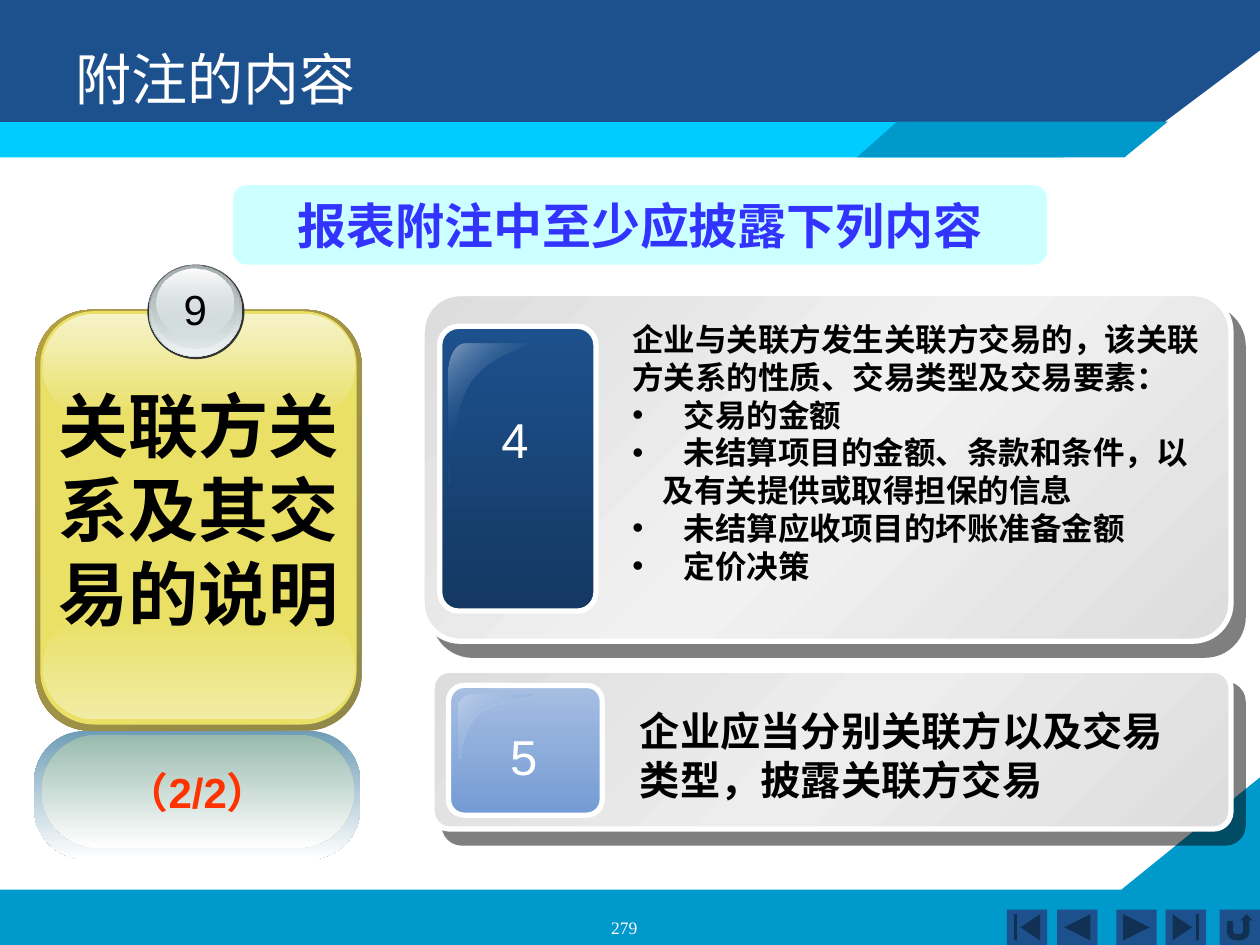
from dataclasses import dataclass

from lxml.etree import SubElement
from pptx import Presentation
from pptx.dml.color import RGBColor
from pptx.enum.shapes import MSO_SHAPE
from pptx.enum.text import MSO_ANCHOR, PP_ALIGN
from pptx.oxml.ns import qn
from pptx.util import Inches, Pt

COLUMN = Inches(10) / 100
ROW = Inches(7.5) / 75

WHITE = RGBColor(0xFF, 0xFF, 0xFF)
BLACK = RGBColor(0x00, 0x00, 0x00)
NAVY = RGBColor(0x1D, 0x51, 0x8D)
DEEP_NAVY = RGBColor(0x14, 0x38, 0x62)
NAVY_GLINT = RGBColor(0x83, 0x9F, 0xC0)
TEAL = RGBColor(0x00, 0x99, 0xCB)
CYAN = RGBColor(0x00, 0xCC, 0xFF)
PALE_CYAN = RGBColor(0xCC, 0xFF, 0xFF)
VIOLET = RGBColor(0x33, 0x33, 0xFF)
RED = RGBColor(0xFF, 0x33, 0x00)
GREY = RGBColor(0xDD, 0xDD, 0xDD)
LIGHT_GREY = RGBColor(0xF1, 0xF1, 0xF1)
SOFT_GREY = RGBColor(0xED, 0xED, 0xED)
CHARCOAL = RGBColor(0x33, 0x33, 0x33)
STEEL = RGBColor(0x62, 0x67, 0x68)
MIST = RGBColor(0xD6, 0xE1, 0xE2)
PALE_MIST = RGBColor(0xEF, 0xF3, 0xF3)
ASH = RGBColor(0xA8, 0xB1, 0xB2)
NEAR_WHITE = RGBColor(0xFE, 0xFE, 0xFE)
OLIVE = RGBColor(0x8F, 0x88, 0x49)
GOLD = RGBColor(0xB5, 0x9F, 0x43)
YELLOW = RGBColor(0xE9, 0xE0, 0x65)
PALE_YELLOW = RGBColor(0xF1, 0xEC, 0xA5)
CREAM = RGBColor(0xF6, 0xF3, 0xCA)
DUSK = RGBColor(0x6F, 0x9D, 0xB7)
SAGE = RGBColor(0x98, 0xBA, 0xAF)
SKY = RGBColor(0xA6, 0xBE, 0xE2)
BLUE = RGBColor(0x74, 0x9B, 0xD4)
BLUE_GLINT = RGBColor(0xBA, 0xCD, 0xE9)


@dataclass
class Box:
    left: float
    top: float
    width: float
    height: float

    def inner(self, left, top, width, height):
        return Box(self.left + left, self.top + top, width, height)

    def point(self, across, down):
        return (round((self.left + across * self.width) * COLUMN),
                round((self.top + down * self.height) * ROW))

    def frame(self):
        return (*self.point(0, 0), round(self.width * COLUMN), round(self.height * ROW))


@dataclass
class Gradient:
    stops: list
    angle: int = 90


def paint(shape, fill, outlined=False):
    shape.shadow.inherit = False
    if isinstance(fill, Gradient):
        shape.fill.gradient()
        shape.fill.gradient_angle = (360 - fill.angle) % 360
        stop_list = shape._element.spPr.find(qn("a:gradFill")).find(qn("a:gsLst"))
        for stop in list(stop_list):
            stop_list.remove(stop)
        for position, color, opacity in fill.stops:
            stop = SubElement(stop_list, qn("a:gs"), pos=str(position * 1000))
            tint = SubElement(stop, qn("a:srgbClr"), val=str(color))
            SubElement(tint, qn("a:alpha"), val=str(opacity * 1000))
    else:
        shape.fill.solid()
        shape.fill.fore_color.rgb = fill
    if outlined:
        shape.line.color.rgb = WHITE
        shape.line.width = Pt(3)
    else:
        shape.line.fill.background()
    return shape


def fade(first, last, first_opacity=100, last_opacity=100, angle=90):
    return Gradient([(0, first, first_opacity), (100, last, last_opacity)], angle)


def add_preset(page, kind, box, fill, rounding=None, outlined=False):
    shape = page.shapes.add_shape(kind, *box.frame())
    if rounding is not None:
        shape.adjustments[0] = rounding
    return paint(shape, fill, outlined)


def add_rounded(page, box, fill, rounding, outlined=False):
    return add_preset(page, MSO_SHAPE.ROUNDED_RECTANGLE, box, fill, rounding, outlined)


def add_outline(page, box, shares, fill):
    points = [box.point(*share) for share in shares]
    builder = page.shapes.build_freeform(*points[0], scale=1.0)
    builder.add_line_segments(points[1:], close=True)
    return paint(builder.convert_to_shape(), fill)


def add_text(page, box, lines, size, color=BLACK, font="Arial", bold=False,
             align=PP_ALIGN.LEFT, anchor=MSO_ANCHOR.TOP, wrap=True, bullets_from=None):
    frame = page.shapes.add_textbox(*box.frame()).text_frame
    frame.word_wrap = wrap
    frame.vertical_anchor = anchor
    for index, line in enumerate(lines):
        para = frame.paragraphs[0] if index == 0 else frame.add_paragraph()
        para.alignment = align
        para.line_spacing = Pt(size * 1.2)
        if bullets_from is not None and index >= bullets_from:
            properties = para._p.get_or_add_pPr()
            properties.set("marL", str(Inches(0.24)))
            properties.set("indent", str(-Inches(0.24)))
            SubElement(properties, qn("a:buFont"), typeface="Arial")
            SubElement(properties, qn("a:buChar"), char="•")
            tabs = SubElement(properties, qn("a:tabLst"))
            SubElement(tabs, qn("a:tab"), pos=str(Inches(0.41)), algn="l")
            line = "\t" + line
        span = para.add_run()
        span.text = line
        span.font.name = font
        span.font.size = Pt(size)
        span.font.bold = bold
        span.font.color.rgb = color


def curve(start, first, second, end, steps=12):
    for step in range(1, steps + 1):
        t = step / steps
        weights = ((1 - t) ** 3, 3 * t * (1 - t) ** 2, 3 * t * t * (1 - t), t ** 3)
        yield tuple(sum(weight * point[axis] for weight, point
                        in zip(weights, (start, first, second, end))) for axis in (0, 1))


def add_glint(page, box, fill):
    shares = [(0.21, 0), *curve((0.21, 0), (0.1, 0), (0, 0.09), (0, 0.19)), (0, 0.98),
              *curve((0, 0.98), (0.05, 1), (0.03, 0.51), (0.27, 0.29)),
              *curve((0.27, 0.29), (0.52, 0.07), (1, 0.05), (0.98, 0))]
    add_outline(page, box, shares, fill)


def add_header(page, box):
    add_outline(page, box, [(0, 0), (1, 0), (1, 0.32), (0.89, 0.98), (0, 0.99)], NAVY)
    add_preset(page, MSO_SHAPE.RECTANGLE, box.inner(0, 9.7, 84.4, 2.8), CYAN)
    add_outline(page, box.inner(68, 9.65, 24.7, 2.85),
                [(0, 1), (0.86, 1), (1, 0), (0.13, 0)], TEAL)
    add_text(page, box.inner(5, 3, 90, 12.5), ["附注的内容"], 32, color=WHITE,
             font="Noto Sans CJK SC")


def add_footer(page, box):
    add_outline(page, box, [(0, 0.67), (0.89, 0.67), (1, 0), (1, 1), (0, 1)], TEAL)
    buttons = [(79.9, MSO_SHAPE.ACTION_BUTTON_BEGINNING),
               (83.9, MSO_SHAPE.ACTION_BUTTON_BACK_OR_PREVIOUS),
               (88.6, MSO_SHAPE.ACTION_BUTTON_FORWARD_OR_NEXT),
               (92.5, MSO_SHAPE.ACTION_BUTTON_END),
               (96.8, MSO_SHAPE.ACTION_BUTTON_RETURN)]
    for left, kind in buttons:
        add_preset(page, kind, box.inner(left, 10.5, 3.2, 2.8), NAVY)
    add_text(page, box.inner(37.9, 10.6, 23.3, 1.8), ["279"], 10, color=WHITE,
             font="Times New Roman", align=PP_ALIGN.CENTER)


def add_banner(page, box):
    add_rounded(page, box, PALE_CYAN, 0.17)
    add_text(page, box, ["报表附注中至少应披露下列内容"], 28, color=VIOLET, bold=True,
             align=PP_ALIGN.CENTER, anchor=MSO_ANCHOR.MIDDLE, wrap=False)


def add_topic(page, box):
    add_rounded(page, box.inner(0.1, 3.6, 25.9, 33.4), fade(OLIVE, GOLD, angle=225), 0.17)
    add_rounded(page, box.inner(0.5, 3.7, 25.1, 32.8), YELLOW, 0.17)
    add_rounded(page, box.inner(0.7, 27.8, 24.8, 8.3), fade(YELLOW, PALE_YELLOW), 0.5)
    add_rounded(page, box.inner(0.7, 3.9, 24.8, 8.3), fade(CREAM, YELLOW), 0.5)
    rings = [((9, 0, 7.7, 7.5), CHARCOAL),
             ((9.1, 0, 7.4, 7.3), fade(STEEL, MIST)),
             ((9.2, 0.1, 7.3, 7.1), fade(MIST, PALE_MIST, first_opacity=0)),
             ((9.3, 0.1, 6.9, 6.6), fade(ASH, MIST, last_opacity=48)),
             ((9.7, 0.3, 6.1, 5.4), fade(NEAR_WHITE, MIST, last_opacity=38))]
    for place, fill in rings:
        add_preset(page, MSO_SHAPE.OVAL, box.inner(*place), fill)
    add_text(page, box.inner(10.9, 1, 3.8, 5), ["9"], 24, align=PP_ALIGN.CENTER, wrap=False)
    add_text(page, box.inner(1, 8.9, 24.6, 21), ["关联方关系及其交易的说明"], 40,
             font="DejaVu Sans", bold=True)
    add_rounded(page, box.inner(0, 37, 25.9, 10.2), fade(DUSK, WHITE), 0.4)
    label = box.inner(0.6, 37.3, 24.8, 9)
    add_rounded(page, label, fade(SAGE, WHITE), 0.5)
    add_text(page, label, ["（2/2）"], 24, color=RED, bold=True, align=PP_ALIGN.CENTER,
             anchor=MSO_ANCHOR.MIDDLE, wrap=False)


def add_card(page, box, number, middle, tile, tile_fill, glint, glint_fill, number_box,
             text_box, lines, size, bullets_from=None):
    panel = Gradient([(0, GREY, 100), (50, middle, 100), (100, GREY, 100)], 225)
    card = add_rounded(page, box, panel, 0.11, outlined=True)
    effects = card._element.spPr.find(qn("a:effectLst"))
    shadow = SubElement(effects, qn("a:outerShdw"), blurRad="0", dist=str(Pt(10.6)),
                        dir=str(49 * 60000), algn="ctr", rotWithShape="0")
    tint = SubElement(shadow, qn("a:srgbClr"), val=str(BLACK))
    SubElement(tint, qn("a:alpha"), val="50000")
    add_rounded(page, box.inner(*tile), tile_fill, 0.12, outlined=True)
    add_glint(page, box.inner(*glint), glint_fill)
    add_text(page, box.inner(*number_box), [number], 28, color=WHITE,
             align=PP_ALIGN.CENTER, wrap=False)
    add_text(page, box.inner(*text_box), lines, size, bold=True, bullets_from=bullets_from)


def main():
    deck = Presentation()
    deck.slide_width, deck.slide_height = Inches(10), Inches(7.5)
    page = deck.slides.add_slide(deck.slide_layouts[6])
    add_footer(page, Box(0, 61.7, 100, 13.3))
    add_header(page, Box(0, 0, 100, 12.5))
    add_card(page, Box(33.5, 23.3, 64.2, 27.6), "4", LIGHT_GREY,
             (1.4, 2.6, 12.4, 22.6), fade(NAVY, DEEP_NAVY), (2.1, 4, 6.2, 11.3),
             Gradient([(0, NAVY_GLINT, 100), (50, NAVY, 0), (100, NAVY_GLINT, 100)], 225),
             (5.3, 8.7, 4.1, 5.7), (15.7, 1.6, 47.2, 22),
             ["企业与关联方发生关联方交易的，该关联方关系的性质、交易类型及交易要素：",
              "交易的金额", "未结算项目的金额、条款和条件，以及有关提供或取得担保的信息",
              "未结算应收项目的坏账准备金额", "定价决策"], 18, bullets_from=1)
    add_banner(page, Box(18.5, 14.7, 64.6, 6.3))
    add_topic(page, Box(2.7, 21, 26, 47.2))
    add_card(page, Box(34.3, 53.2, 63.4, 12.6), "5", SOFT_GREY,
             (1.3, 1.2, 12.2, 10.3), fade(SKY, BLUE), (2.1, 1.9, 6.1, 5.2),
             fade(BLUE, BLUE_GLINT, first_opacity=0, angle=225),
             (5.2, 4, 4.1, 5.7), (15.5, 2.4, 46.6, 8.7),
             ["企业应当分别关联方以及交易类型，披露关联方交易"], 23)
    deck.save("out.pptx")


if __name__ == "__main__":
    main()
